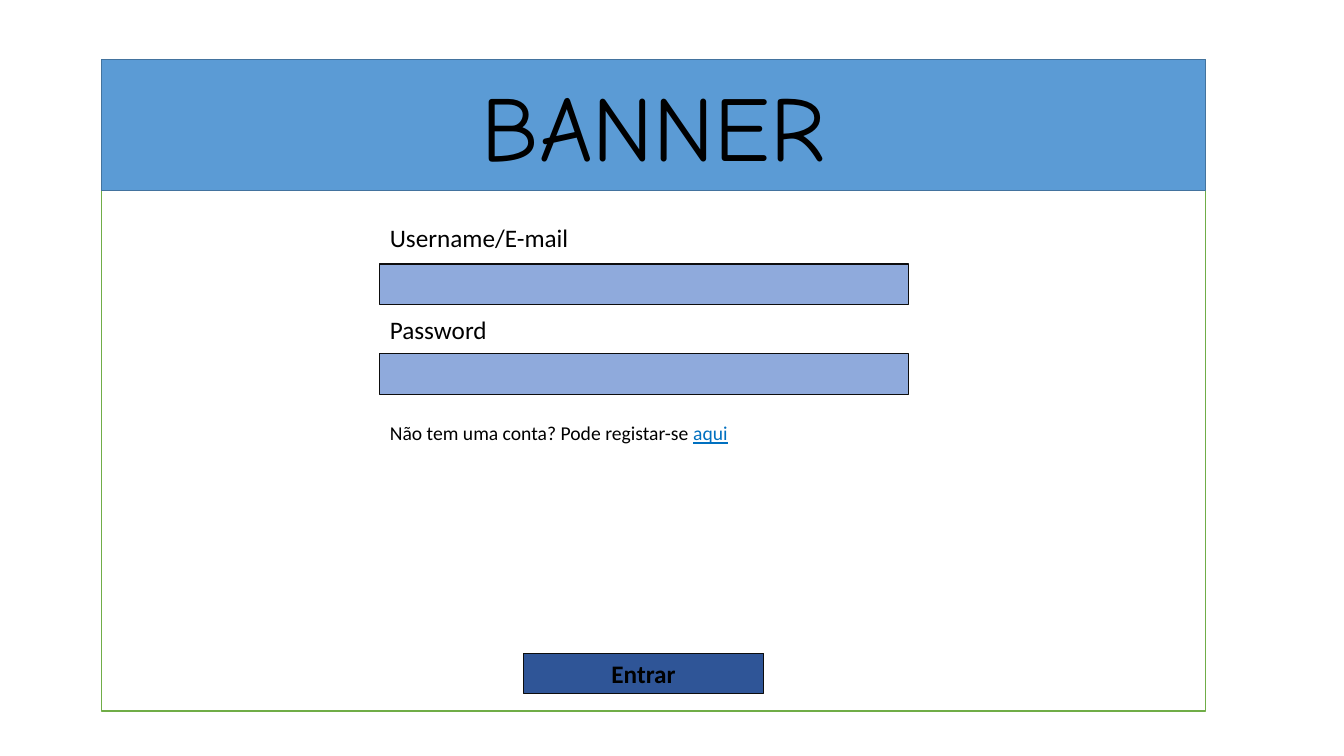
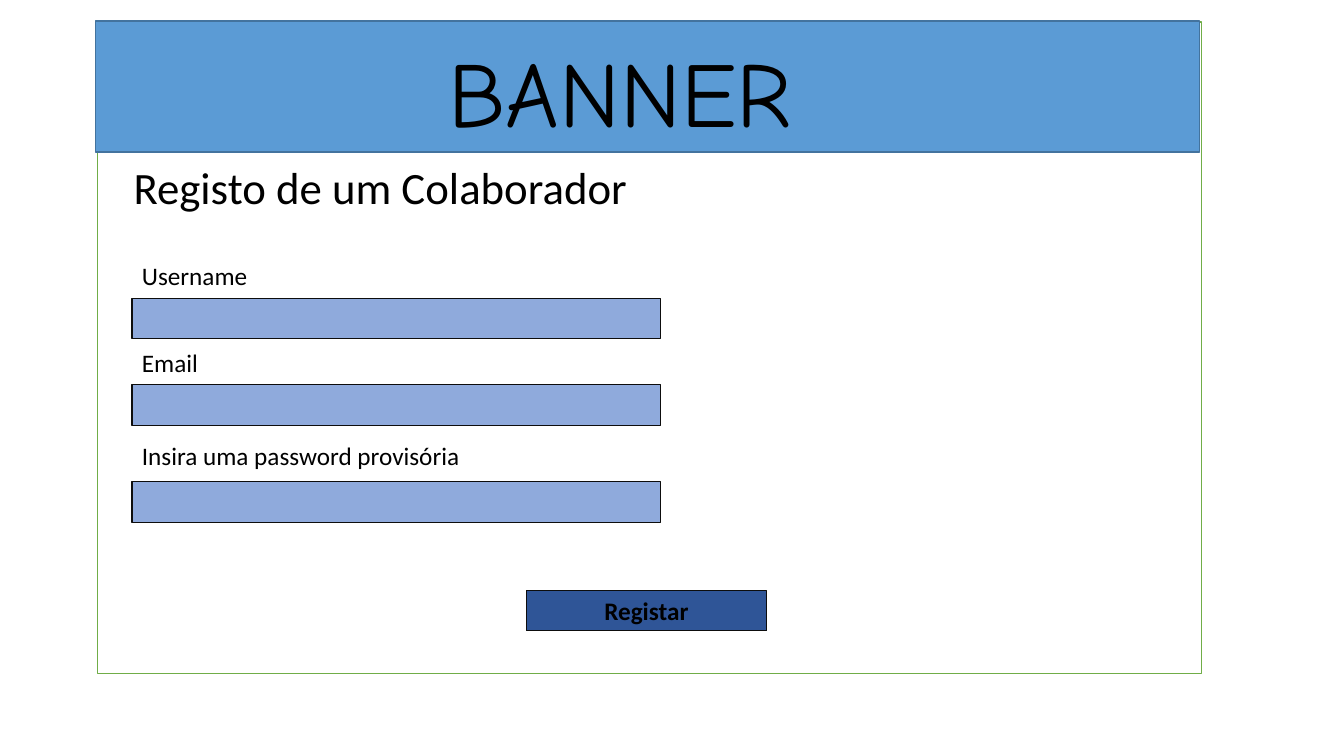
from pptx import Presentation
from pptx.dml.color import RGBColor
from pptx.enum.shapes import MSO_SHAPE
from pptx.enum.text import MSO_ANCHOR, MSO_AUTO_SIZE, PP_ALIGN
from pptx.util import Pt

RECT = MSO_SHAPE.RECTANGLE
TOP, MIDDLE = MSO_ANCHOR.TOP, MSO_ANCHOR.MIDDLE
LEFT, CENTER = PP_ALIGN.LEFT, PP_ALIGN.CENTER
NO_FIT = MSO_AUTO_SIZE.NONE
TITLE_ONLY = 5

BLACK = RGBColor(0x00, 0x00, 0x00)
WHITE = RGBColor(0xFF, 0xFF, 0xFF)
GREEN = RGBColor(0x70, 0xAD, 0x47)
BAND_BLUE = RGBColor(0x5B, 0x9B, 0xD5)
BAND_EDGE = RGBColor(0x43, 0x73, 0x9E)
FIELD_BLUE = RGBColor(0x8F, 0xAA, 0xDC)
BUTTON_BLUE = RGBColor(0x2F, 0x55, 0x97)
INK = RGBColor(0x0D, 0x0D, 0x0D)
LINK_BLUE = RGBColor(0x00, 0x70, 0xC0)

BANNER = {"name": "Comic Neue", "size": Pt(66)}
HEADING = {"name": "Calibri", "size": Pt(32)}
LABEL = {"name": "Calibri", "size": Pt(18)}
BUTTON = {**LABEL, "bold": True}
NOTE = {"name": "Calibri", "size": Pt(14)}
LINK = {**NOTE, "underline": True}

FRAME_W, FRAME_H = 788.4, 465.5
BAND_H = 93.6
FIELD_W, ROW_H = 377.3, 28.8
BUTTON_W = 172


def place(sp, x, y, w, h):
    """Set the position and size of a shape in points."""
    sp.left, sp.top, sp.width, sp.height = Pt(x), Pt(y), Pt(w), Pt(h)


def write(sp, runs, align=LEFT, anchor=TOP):
    """Fill a shape with one paragraph of (text, format, colour) runs."""
    tf = sp.text_frame
    tf.word_wrap = True
    tf.auto_size = NO_FIT
    tf.vertical_anchor = anchor
    p = tf.paragraphs[0]
    p.alignment = align
    p.line_spacing = 1.0
    for text, fmt, color in runs:
        r = p.add_run()
        r.text = text
        for name, value in fmt.items():
            setattr(r.font, name, value)
        r.font.color.rgb = color


def add_rect(s, x, y, w, h, fill, line, weight=0.75):
    """Add a flat outlined rectangle."""
    sp = s.shapes.add_shape(RECT, Pt(x), Pt(y), Pt(w), Pt(h))
    sp.shadow.inherit = False
    sp.fill.solid()
    sp.fill.fore_color.rgb = fill
    sp.line.color.rgb = line
    sp.line.width = Pt(weight)
    return sp


def add_text(s, x, y, w, h, runs, align=LEFT):
    """Add a text box."""
    sp = s.shapes.add_textbox(Pt(x), Pt(y), Pt(w), Pt(h))
    write(sp, runs, align)


def add_page(prs, x, y, band, title):
    """Add a slide with a framed page, its band and its banner title."""
    s = prs.slides.add_slide(prs.slide_layouts[TITLE_ONLY])
    add_rect(s, x, y, FRAME_W, FRAME_H, WHITE, GREEN, 1)
    add_rect(s, x + band[0], y + band[1], FRAME_W, BAND_H, BAND_BLUE, BAND_EDGE, 1)
    sp = s.shapes.title
    place(sp, x + title[0], y + title[1], 336.2, 87.1)
    write(sp, [("BANNER", BANNER, BLACK)], CENTER)
    s.shapes.element.append(sp.element)
    return s


def add_fields(s, x, y, rows):
    """Add labelled input fields from (label, label top, field top) rows."""
    for text, label_y, field_y in rows:
        add_rect(s, x, y + field_y, FIELD_W, ROW_H, FIELD_BLUE, INK)
        add_text(s, x, y + label_y, FIELD_W, ROW_H, [(text, LABEL, BLACK)])


def add_button(s, x, y, text):
    """Add a button with a bold caption."""
    sp = add_rect(s, x, y, BUTTON_W, ROW_H, BUTTON_BLUE, INK)
    write(sp, [(text, BUTTON, BLACK)], CENTER, MIDDLE)


def add_login(prs, x, y):
    """Add the login page with its frame at x, y."""
    s = add_page(prs, x, y, band=(0, 0), title=(226.1, 3.6))
    form_x = x + 198.7
    add_fields(s, form_x, y, [
        ("Username/E-mail", 113, 146.1),
        ("Password", 178.5, 210.2),
    ])
    add_text(s, form_x, y + 254.9, 353.5, 24.5, [
        ("Não tem uma conta? Pode registar-se ", NOTE, BLACK),
        ("aqui", LINK, LINK_BLUE),
    ])
    add_button(s, x + 301, y + 424.1, "Entrar")


def add_registration(prs, x, y):
    """Add the registration page with its frame at x, y."""
    s = add_page(prs, x, y, band=(-1.4, -0.7), title=(205.2, 5.8))
    add_text(s, x - 1.4, y + 94.4, 406.8, 46.1,
             [("Registo de um Colaborador", HEADING, BLACK)], CENTER)
    add_fields(s, x + 24.5, y, [
        ("Username", 166.4, 197.3),
        ("Email", 229, 259.2),
        ("Insira uma password provisória", 295.2, 328.4),
    ])
    add_button(s, x + 306, y + 406.1, "Registar")


def main():
    """Build and save the presentation."""
    prs = Presentation()
    prs.slide_width, prs.slide_height = Pt(960), Pt(540)
    add_login(prs, 72.7, 42.5)
    add_registration(prs, 69.8, 15.8)
    prs.save("out.pptx")


if __name__ == "__main__":
    main()
